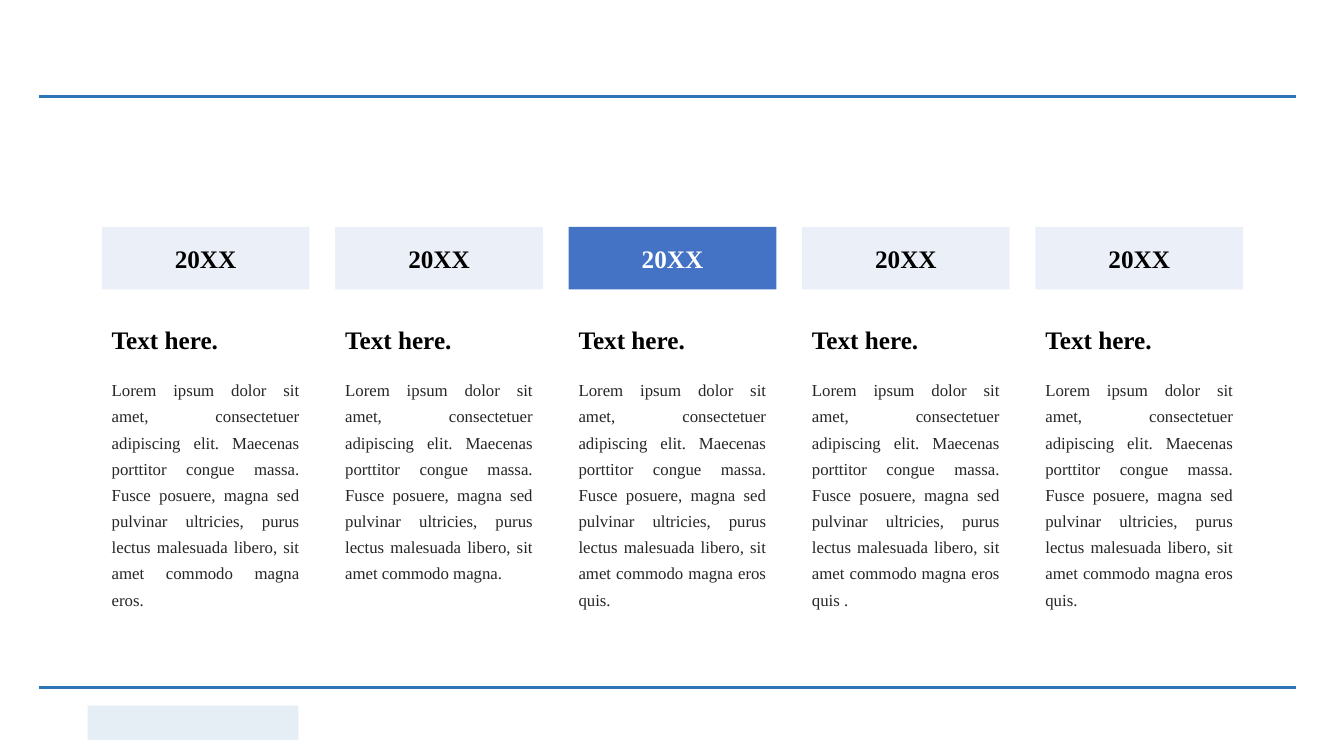
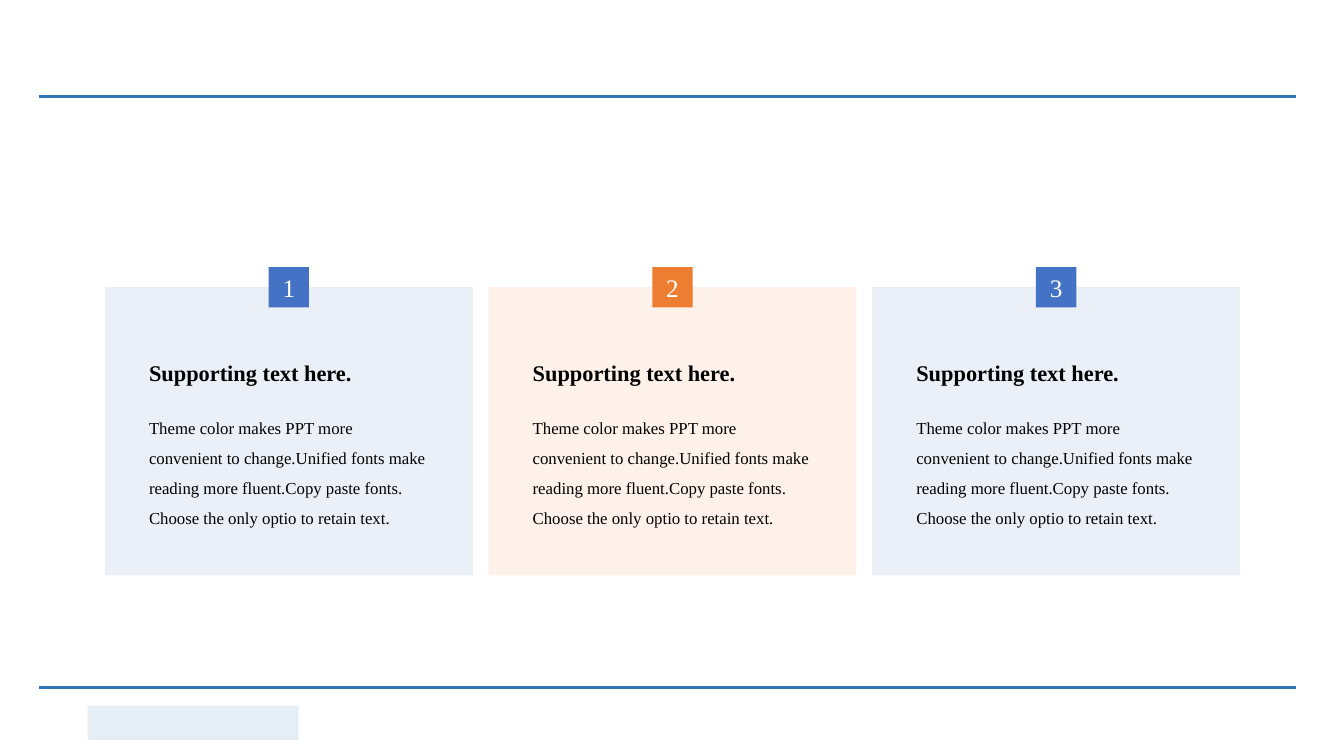
"""Builds a five-column timeline slide and a three-card slide in one shared style."""
from dataclasses import dataclass

from lxml import etree
from pptx import Presentation
from pptx.dml.color import RGBColor
from pptx.enum import shapes, text
from pptx.oxml.ns import qn
from pptx.util import Inches, Pt


@dataclass(frozen=True)
class Theme:
    blue: str = "4472C4"
    orange: str = "ED7D31"
    rule: str = "2E75B6"
    footer: str = "006097"
    black: str = "000000"
    body: str = "262626"
    white: str = "FFFFFF"
    font: str = "Times New Roman"
    label_pt: int = 18
    card_title_pt: int = 16
    body_pt: int = 12
    rule_pt: float = 2.25
    tint: int = 10


T = Theme()
LEFT, CENTER, JUSTIFY = text.PP_ALIGN.LEFT, text.PP_ALIGN.CENTER, text.PP_ALIGN.JUSTIFY
TOP, MIDDLE, BOTTOM = text.MSO_ANCHOR.TOP, text.MSO_ANCHOR.MIDDLE, text.MSO_ANCHOR.BOTTOM

LOREM = (
    "Lorem ipsum dolor sit amet, consectetuer adipiscing elit. Maecenas porttitor "
    "congue massa. Fusce posuere, magna sed pulvinar ultricies, purus lectus "
    "malesuada libero, sit amet commodo magna"
)
YEAR, YEAR_TITLE = "20XX", "Text here."
YEAR_ENDINGS = [" eros.", ".", " eros quis.", " eros quis .", " eros quis."]
CURRENT_YEAR = 2

CARD_TITLE = "Supporting text here."
CARD_BODY = (
    "Theme color makes PPT more convenient to change.Unified fonts make reading "
    "more fluent.Copy paste fonts. Choose the only optio to retain text."
)
CARD_COLORS = [T.blue, T.orange, T.blue]


def write(sp, content, size, color=T.black, bold=False,
          align=LEFT, anchor=TOP, spacing=None, wrap=True):
    tf = sp.text_frame
    tf.word_wrap = wrap
    tf.vertical_anchor = anchor
    p = tf.paragraphs[0]
    p.text = content
    p.alignment = align
    if spacing:
        p.line_spacing = spacing
    p.font.size = Pt(size)
    p.font.bold = bold
    p.font.color.rgb = RGBColor.from_string(color)
    p.font.name = T.font


def add_text(s, box, content, size, **style):
    sp = s.shapes.add_textbox(*map(Inches, box))
    write(sp, content, size, **style)
    sp.text_frame.auto_size = text.MSO_AUTO_SIZE.SHAPE_TO_FIT_TEXT


def add_rect(s, box, color, opacity=100):
    sp = s.shapes.add_shape(shapes.MSO_SHAPE.RECTANGLE, *map(Inches, box))
    sp.shadow.inherit = False
    sp.line.fill.background()
    sp.fill.solid()
    sp.fill.fore_color.rgb = RGBColor.from_string(color)
    if opacity < 100:
        clr = sp._element.spPr.find(qn("a:solidFill"))[0]
        etree.SubElement(clr, qn("a:alpha")).set("val", str(opacity * 1000))
    return sp


def add_rule(s, y):
    rule = s.shapes.add_connector(
        shapes.MSO_CONNECTOR.STRAIGHT, Inches(0.39), Inches(y), Inches(12.85), Inches(y))
    rule.line.color.rgb = RGBColor.from_string(T.rule)
    rule.line.width = Pt(T.rule_pt)
    etree.SubElement(rule._element.spPr, qn("a:effectLst"))


def add_framed_slide(prs):
    s = prs.slides.add_slide(prs.slide_layouts[6])
    add_rule(s, 6.82)
    add_rect(s, (0.87, 7, 2.09, 0.34), T.footer, T.tint)
    add_rule(s, 0.96)
    return s


def spread(first, last, count):
    return [first + (last - first) * i / (count - 1) for i in range(count)]


def build_timeline(prs):
    s = add_framed_slide(prs)
    width = 2.06
    columns = spread(1.01, 10.27, len(YEAR_ENDINGS))
    for i, (x, ending) in enumerate(zip(columns, YEAR_ENDINGS)):
        current = i == CURRENT_YEAR
        banner = add_rect(s, (x, 2.25, width, 0.62), T.blue, 100 if current else T.tint)
        write(banner, YEAR, T.label_pt, color=T.white if current else T.black,
              bold=True, align=CENTER, anchor=MIDDLE)
        add_text(s, (x, 3.14, 1.27, 0.43), YEAR_TITLE, T.label_pt,
                 bold=True, anchor=BOTTOM, spacing=1.2, wrap=False)
        add_text(s, (x, 3.66, width, 2.44), LOREM + ending, T.body_pt,
                 color=T.body, align=JUSTIFY, spacing=1.3)


def build_cards(prs):
    s = add_framed_slide(prs)
    top, width, badge, inset = 2.85, 3.65, 0.4, 0.34
    text_width = width - 2 * inset
    columns = spread(1.04, 8.65, len(CARD_COLORS))
    for number, (x, color) in enumerate(zip(columns, CARD_COLORS), 1):
        add_rect(s, (x, top, width, 2.86), color, T.tint)
        add_text(s, (x + inset, 3.99, text_width, 1.28), CARD_BODY, T.body_pt, spacing=1.5)
        add_text(s, (x + inset, 3.51, text_width, 0.37), CARD_TITLE, T.card_title_pt,
                 bold=True, anchor=BOTTOM)
        sp = add_rect(s, (x + (width - badge) / 2, top - badge / 2, badge, badge), color)
        write(sp, str(number), T.label_pt, color=T.white, align=CENTER, anchor=MIDDLE)


def main():
    prs = Presentation()
    prs.slide_width, prs.slide_height = Inches(13.33), Inches(7.5)
    build_timeline(prs)
    build_cards(prs)
    prs.save("out.pptx")


if __name__ == "__main__":
    main()
